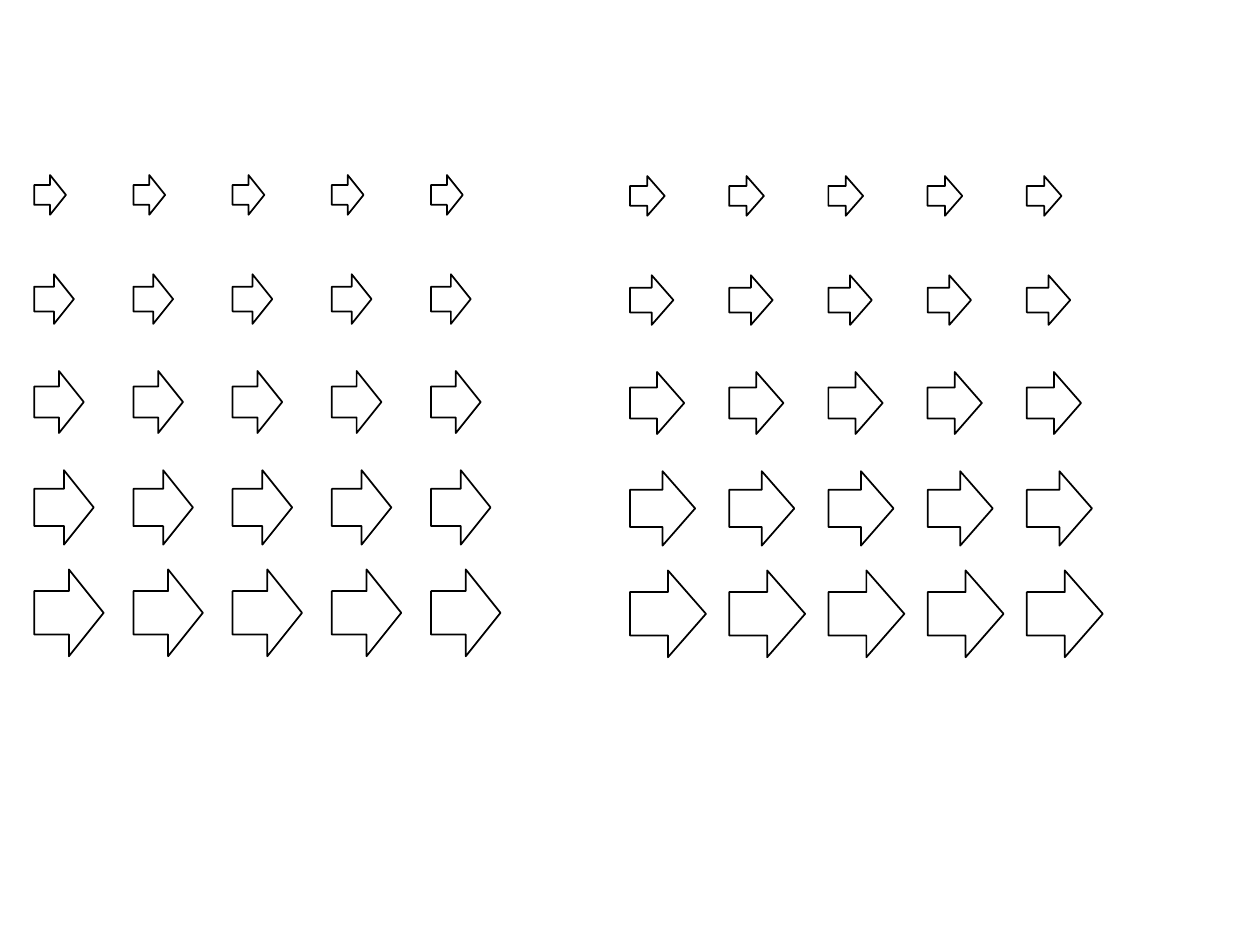
from pptx import Presentation
from pptx.dml.color import RGBColor
from pptx.enum.shapes import MSO_SHAPE
from pptx.util import Cm, Pt

COLUMNS = 5
PITCH = 2
ROWS = [(0, 0.8), (2, 1), (3.95, 1.25), (5.95, 1.5), (7.95, 1.75)]
GROUPS = [(0.69, 3.53, 0.8), (12.7, 3.55, 0.875)]

deck = Presentation()
deck.slide_width = Cm(25.4)
deck.slide_height = Cm(19.05)
page = deck.slides.add_slide(deck.slide_layouts[6])

for group_left, group_top, width_ratio in GROUPS:
    for row_offset, height in ROWS:
        for column in range(COLUMNS):
            arrow = page.shapes.add_shape(
                MSO_SHAPE.RIGHT_ARROW,
                Cm(group_left + column * PITCH),
                Cm(group_top + row_offset),
                Cm(height * width_ratio),
                Cm(height),
            )
            arrow.shadow.inherit = False
            arrow.fill.background()
            arrow.line.color.rgb = RGBColor.from_string("000000")
            arrow.line.width = Pt(1)

deck.save("out.pptx")
